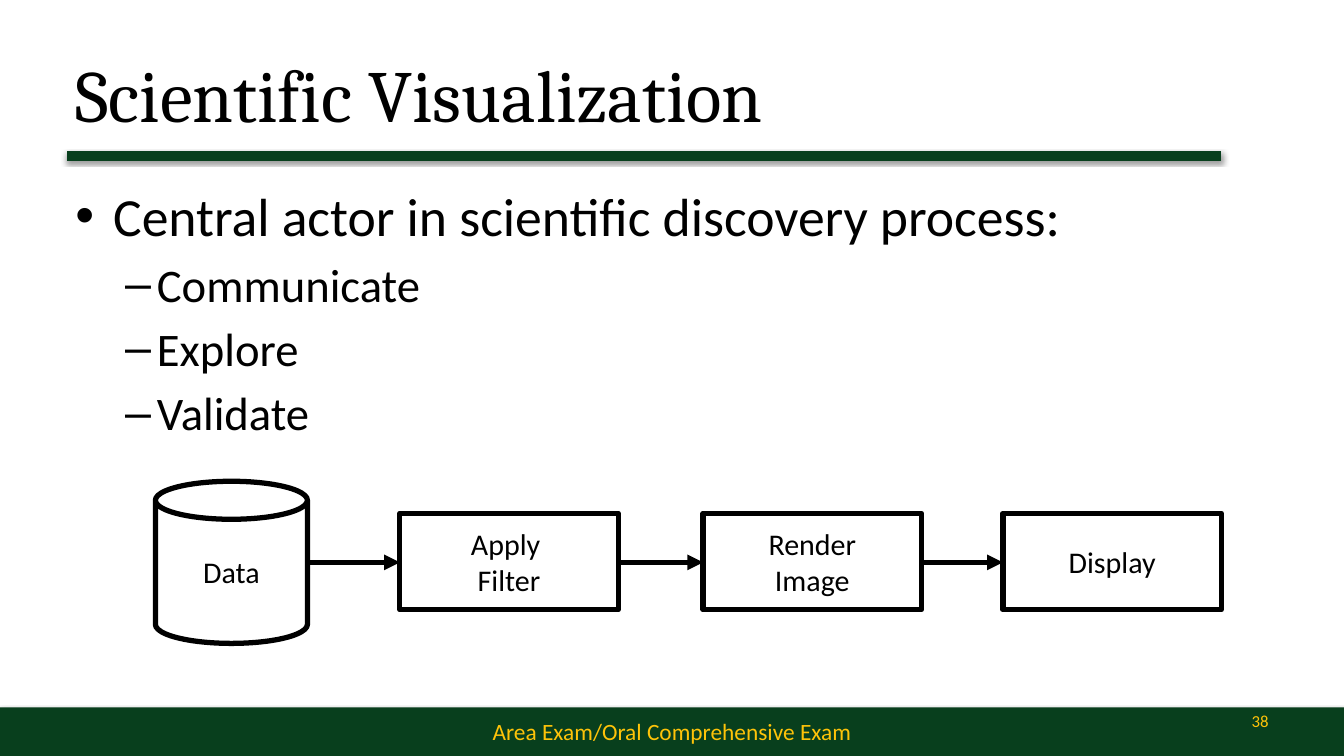
from lxml import etree
from pptx import Presentation
from pptx.dml.color import RGBColor
from pptx.enum.shapes import MSO_CONNECTOR, MSO_SHAPE
from pptx.enum.text import MSO_ANCHOR, PP_ALIGN
from pptx.oxml.ns import qn
from pptx.util import Inches, Pt

GREEN = RGBColor(0x08, 0x3F, 0x1D)
GOLD = RGBColor(0xFE, 0xC3, 0x09)
BLACK = RGBColor(0, 0, 0)
WHITE = RGBColor(0xFF, 0xFF, 0xFF)


def style(para, size, color=BLACK, name="Calibri", align=PP_ALIGN.LEFT):
    para.alignment = align
    para.font.size = Pt(size)
    para.font.name = name
    para.font.color.rgb = color


def add_text(page, left, top, width, height, anchor):
    frame = page.shapes.add_textbox(
        Inches(left), Inches(top), Inches(width), Inches(height)).text_frame
    frame.word_wrap = True
    frame.vertical_anchor = anchor
    return frame


def add_shape(page, kind, box, fill, lines, size, color=BLACK):
    shape = page.shapes.add_shape(kind, *[Inches(value) for value in box])
    shape.shadow.inherit = False
    shape.fill.solid()
    shape.fill.fore_color.rgb = fill
    shape.line.fill.background()
    frame = shape.text_frame
    frame.vertical_anchor = MSO_ANCHOR.MIDDLE
    for index, line in enumerate(lines):
        para = frame.paragraphs[0] if index == 0 else frame.add_paragraph()
        para.text = line
        style(para, size, color, align=PP_ALIGN.CENTER)
    return shape


def add_line(page, start, end, color, width):
    line = page.shapes.add_connector(
        MSO_CONNECTOR.STRAIGHT, *[Inches(value) for value in (*start, *end)])
    line.line.color.rgb = color
    line.line.width = Pt(width)
    etree.SubElement(line._element.spPr, qn("a:effectLst"))
    return line


def cast_shadow(shape, opacity, blur, distance):
    """Add a soft shadow straight below the shape."""
    effects = shape._element.spPr.find(qn("a:effectLst"))
    shadow = etree.SubElement(
        effects, qn("a:outerShdw"), blurRad=str(Pt(blur)),
        dist=str(Pt(distance)), dir="5400000", rotWithShape="0")
    color = etree.SubElement(shadow, qn("a:srgbClr"), val="000000")
    etree.SubElement(color, qn("a:alpha"), val=str(opacity * 1000))


def add_footer(page, left, top, width, height):
    band = add_shape(page, MSO_SHAPE.RECTANGLE, (left, top, width, height),
                     GREEN, ["Area Exam/Oral Comprehensive Exam"], 20, GOLD)
    cast_shadow(band, 35, 3.1, 1.8)
    # Page number
    frame = add_text(page, left + width - 4.53, top - 0.08, 3.73, 0.48,
                     MSO_ANCHOR.MIDDLE)
    para = frame.paragraphs[0]
    para.text = "38"
    style(para, 14.4, GOLD, align=PP_ALIGN.RIGHT)


def add_title(page, left, top, width, height):
    bottom = top + height
    rule = add_line(page, (left, bottom), (left + width, bottom), GREEN, 8.5)
    cast_shadow(rule, 38, 3.1, 1.6)
    frame = add_text(page, left, top, width, height, MSO_ANCHOR.MIDDLE)
    para = frame.paragraphs[0]
    para.text = "Scientific Visualization"
    style(para, 63, name="Cambria")


def add_bullets(page, left, top, width, height):
    frame = add_text(page, left, top, width, height, MSO_ANCHOR.TOP)
    frame.margin_top = Inches(0.08)
    items = [("Central actor in scientific discovery process:", 0),
             ("Communicate", 1), ("Explore", 1), ("Validate", 1)]
    # Bullet, left margin, indent and size of each level
    levels = [("•", 0.45, -0.45, 46), ("–", 0.97, -0.38, 40)]
    for index, (text, level) in enumerate(items):
        bullet, margin, indent, size = levels[level]
        para = frame.paragraphs[0] if index == 0 else frame.add_paragraph()
        para.text = text
        para.level = level
        if index:
            para.space_before = Pt(7)
        props = para._p.get_or_add_pPr()
        props.set("marL", str(Inches(margin)))
        props.set("indent", str(Inches(indent)))
        etree.SubElement(props, qn("a:buFont"), typeface="Arial")
        etree.SubElement(props, qn("a:buChar"), char=bullet)
        style(para, size)


def add_pipeline(page, left, top, width, height):
    step_width, step_height = 2.6, 1.15
    step_top = top + 0.38
    can = (left, top, 1.81, height)
    steps = [(MSO_SHAPE.CAN, can, ["Data"])]
    # Boxes run back from the right edge
    for offset, lines in [(9.78, ["Apply ", "Filter"]),
                          (6.17, ["Render", "Image"]), (2.6, ["Display"])]:
        box = (left + width - offset, step_top, step_width, step_height)
        steps.append((MSO_SHAPE.RECTANGLE, box, lines))
    for kind, box, lines in steps:
        shape = add_shape(page, kind, box, WHITE, lines, 25.7)
        shape.line.color.rgb = BLACK
        shape.line.width = Pt(4.5)
    # Arrows from each step to the next
    middle = top + height / 2
    for (_, box, _), (_, following, _) in zip(steps, steps[1:]):
        arrow = add_line(page, (box[0] + box[2], middle),
                         (following[0], middle), BLACK, 4.5)
        etree.SubElement(arrow.line._get_or_add_ln(), qn("a:tailEnd"),
                         type="triangle")


def main():
    deck = Presentation()
    deck.slide_width, deck.slide_height = Inches(16), Inches(9)
    page = deck.slides.add_slide(deck.slide_layouts[6])
    add_footer(page, 0, 8.42, 16, 0.58)
    add_title(page, 0.8, 0.36, 13.74, 1.5)
    add_bullets(page, 0.8, 2.1, 14.4, 5.94)
    add_pipeline(page, 1.85, 5.73, 12.69, 1.93)
    deck.save("out.pptx")


if __name__ == "__main__":
    main()
